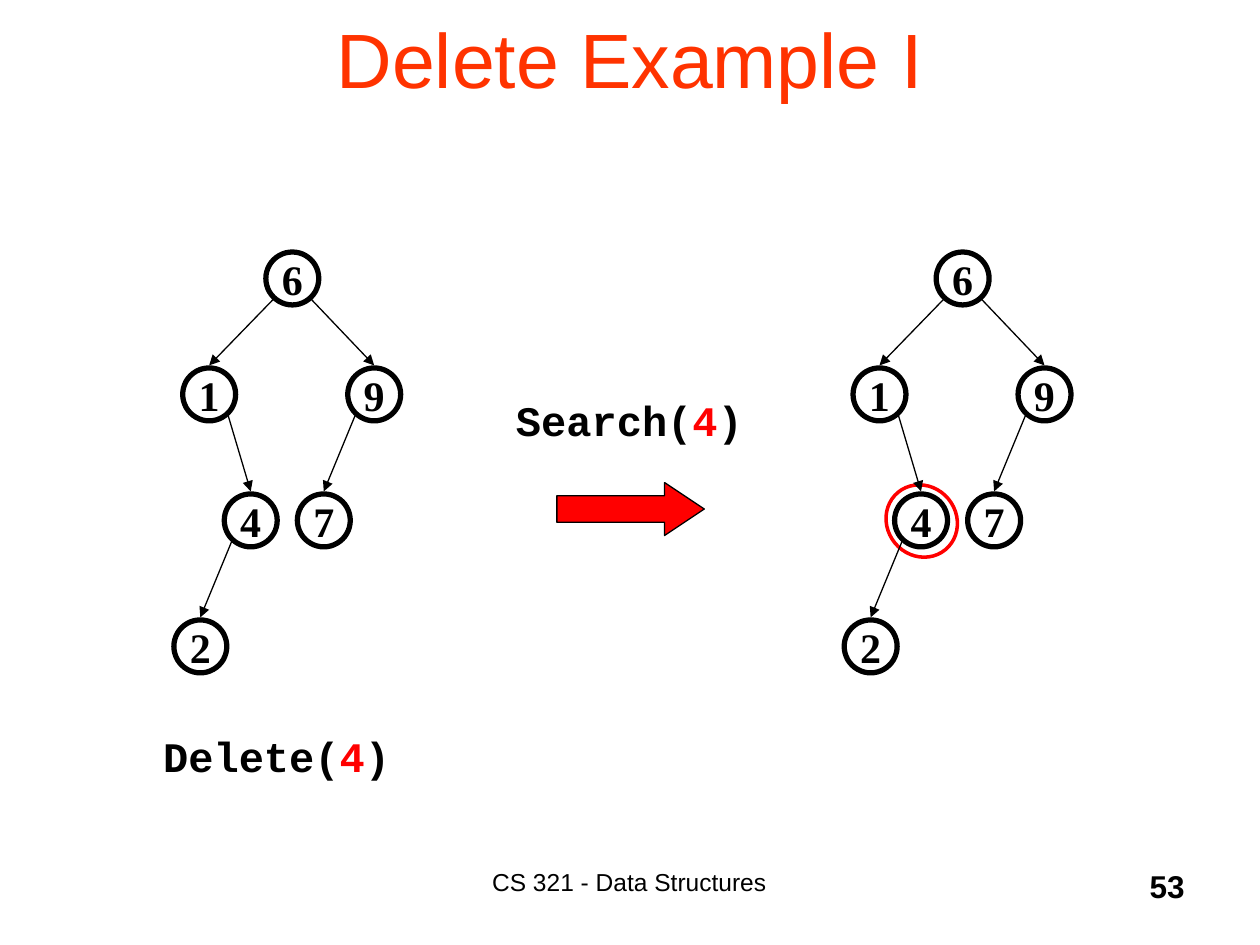
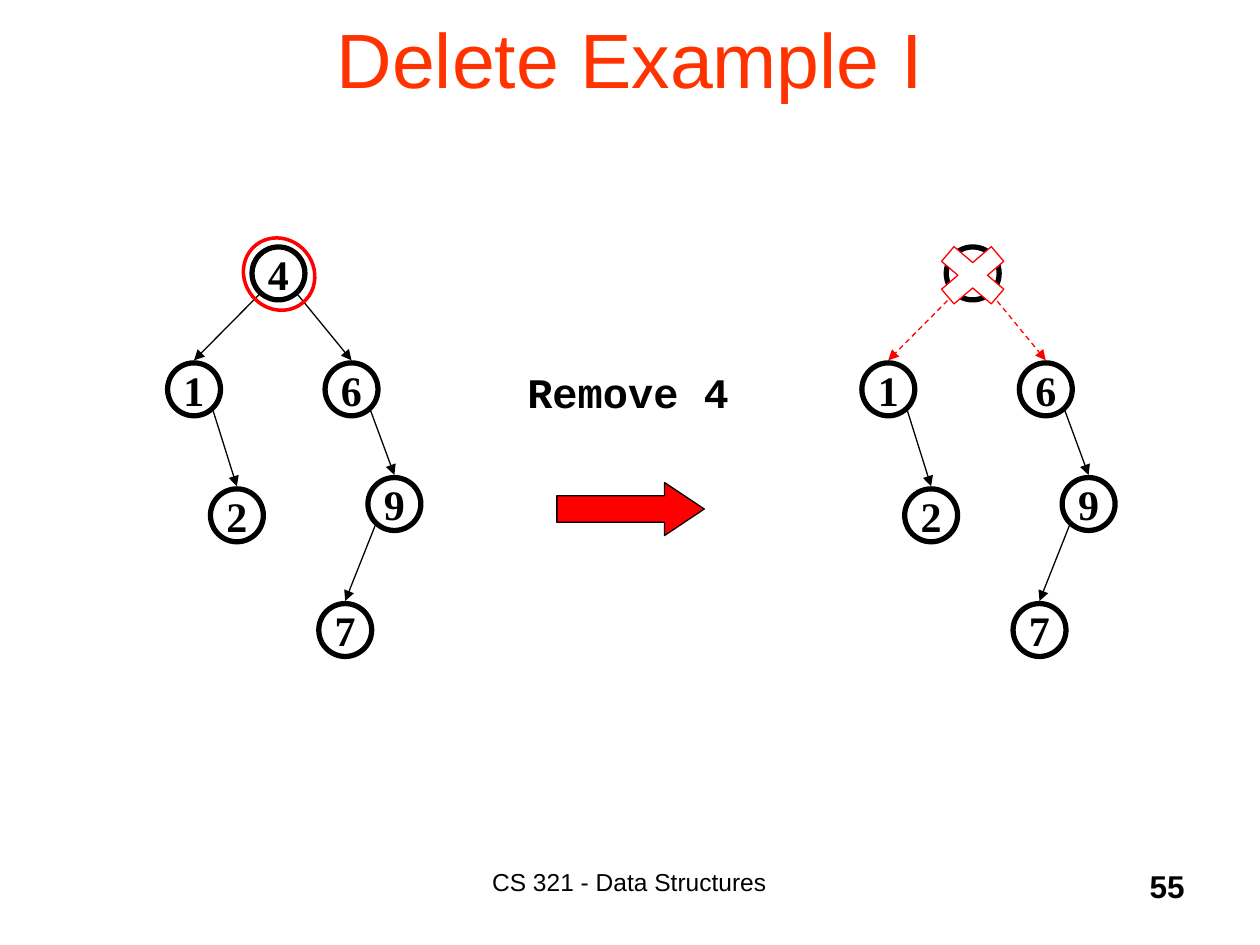
from dataclasses import dataclass
from typing import NamedTuple

from lxml import etree
from pptx import Presentation
from pptx.dml.color import RGBColor
from pptx.enum import dml, shapes, text
from pptx.oxml import ns
from pptx.util import Inches, Pt


@dataclass(frozen=True)
class Theme:
    black: RGBColor = RGBColor(0x00, 0x00, 0x00)
    red: RGBColor = RGBColor(0xFF, 0x00, 0x00)
    white: RGBColor = RGBColor(0xFF, 0xFF, 0xFF)
    title_color: RGBColor = RGBColor(0xFF, 0x33, 0x00)
    sans: str = "Arial"
    code: str = "Courier New"
    serif: str = "Times New Roman"
    title_size: int = 44
    label_size: int = 24
    page_size: int = 18
    footer_size: int = 14
    thin: float = 0.75
    ring: float = 2
    thick: float = 3


class Node(NamedTuple):
    key: str
    x: float
    y: float


class Style(NamedTuple):
    font: str
    size: int
    color: RGBColor
    bold: bool = False


@dataclass(frozen=True)
class Tree:
    nodes: tuple[Node, ...]
    edges: tuple[str, ...]

    def shifted(self, dx: float) -> "Tree":
        return Tree(tuple(n._replace(x=n.x + dx) for n in self.nodes), self.edges)

    def find(self, key: str) -> Node:
        return next(n for n in self.nodes if n.key == key)


THEME = Theme()
CODE = Style(THEME.code, THEME.label_size, THEME.black, True)
CODE_RED = CODE._replace(color=THEME.red)
KEY = Style(THEME.serif, THEME.label_size, THEME.black, True)
TITLE = Style(THEME.sans, THEME.title_size, THEME.title_color)
FOOTER = Style(THEME.sans, THEME.footer_size, THEME.black)
PAGE = Style(THEME.sans, THEME.page_size, THEME.black, True)

NODE_SIZE = 0.42
EDGE_DX, EDGE_DY, EDGE_GAP = 0.15, 0.375, 0.02

SEARCH_TREE = Tree(
    (Node("6", 2.11, 2), Node("1", 1.45, 2.92), Node("9", 2.76, 2.92),
     Node("4", 1.78, 3.92), Node("7", 2.36, 3.92), Node("2", 1.38, 4.92)),
    ("61", "69", "14", "97", "42"),
)
ROTATED_TREE = Tree(
    (Node("4", 2, 1.96), Node("1", 1.33, 2.88), Node("6", 2.58, 2.88),
     Node("2", 1.67, 3.88), Node("9", 2.92, 3.79), Node("7", 2.53, 4.79)),
    ("41", "46", "12", "69", "97"),
)


def box(x: float, y: float, w: float, h: float) -> tuple:
    return Inches(x), Inches(y), Inches(w), Inches(h)


def add_runs(p, *parts: tuple[str, Style]) -> None:
    for words, style in parts:
        r = p.add_run()
        r.text = words
        r.font.name = style.font
        r.font.size = Pt(style.size)
        r.font.bold = style.bold
        r.font.color.rgb = style.color


def add_label(s, at: tuple, *parts: tuple[str, Style], align=text.PP_ALIGN.CENTER) -> None:
    tf = s.shapes.add_textbox(*at).text_frame
    tf.word_wrap = True
    tf.paragraphs[0].alignment = align
    add_runs(tf.paragraphs[0], *parts)


def add_outlined(parent, kind, at: tuple, color: RGBColor, width: float, fill=None):
    sp = parent.shapes.add_shape(kind, *at)
    sp.shadow.inherit = False
    if fill is None:
        sp.fill.background()
    else:
        sp.fill.solid()
        sp.fill.fore_color.rgb = fill
    sp.line.color.rgb = color
    sp.line.width = Pt(width)
    return sp


def add_edge(parent, start: Node, end: Node, cut: bool) -> None:
    side = EDGE_DX if end.x > start.x else -EDGE_DX
    half = NODE_SIZE / 2
    line = parent.shapes.add_connector(
        shapes.MSO_CONNECTOR.STRAIGHT,
        Inches(start.x + half + side), Inches(start.y + EDGE_DY),
        Inches(end.x + half), Inches(end.y - EDGE_GAP),
    )
    line.line.color.rgb = THEME.red if cut else THEME.black
    line.line.width = Pt(THEME.thin)
    if cut:
        line.line.dash_style = dml.MSO_LINE.DASH
    sp_pr = line._element.spPr
    etree.SubElement(sp_pr.find(ns.qn("a:ln")), ns.qn("a:tailEnd"), type="triangle")
    etree.SubElement(sp_pr, ns.qn("a:effectLst"))


def add_node(parent, node: Node) -> None:
    at = box(node.x, node.y, NODE_SIZE, NODE_SIZE)
    sp = add_outlined(parent, shapes.MSO_SHAPE.OVAL, at, THEME.black, THEME.thick)
    tf = sp.text_frame
    tf.word_wrap = False
    tf.vertical_anchor = text.MSO_ANCHOR.MIDDLE
    p = tf.paragraphs[0]
    p.alignment = text.PP_ALIGN.CENTER
    add_runs(p, (node.key, KEY))


def add_tree(s, tree: Tree, cut: str = "") -> None:
    group = s.shapes.add_group_shape()
    for node in tree.nodes:
        add_node(group, node)
    for parent, child in tree.edges:
        add_edge(group, tree.find(parent), tree.find(child), parent == cut)
    if cut:
        node = tree.find(cut)
        add_outlined(group, shapes.MSO_SHAPE.MATH_MULTIPLY,
                     box(node.x - 0.17, node.y - 0.1, 0.76, 0.65),
                     THEME.red, THEME.thin, THEME.white)


def add_ring(s, node: Node) -> None:
    sp = add_outlined(s, shapes.MSO_SHAPE.OVAL,
                      box(node.x - 0.06, node.y - 0.08, 0.55, 0.59),
                      THEME.red, THEME.ring)
    sp.rotation = 320.5


def add_step_slide(prs, page: str):
    s = prs.slides.add_slide(prs.slide_layouts[5])
    title = s.shapes.title
    title.left, title.top, title.width, title.height = box(0.75, -0.17, 8.5, 1.25)
    tf = title.text_frame
    tf.auto_size = text.MSO_AUTO_SIZE.NONE
    tf.vertical_anchor = text.MSO_ANCHOR.MIDDLE
    p = tf.paragraphs[0]
    p.alignment = text.PP_ALIGN.CENTER
    add_runs(p, ("Delete Example I", TITLE))
    add_label(s, box(3.08, 6.83, 3.83, 0.5), ("CS 321 - Data Structures", FOOTER))
    add_label(s, box(7.42, 6.83, 2.08, 0.5), (page, PAGE), align=text.PP_ALIGN.RIGHT)
    arrow = add_outlined(s, shapes.MSO_SHAPE.RIGHT_ARROW, box(4.42, 3.83, 1.17, 0.42),
                         THEME.black, THEME.thin, THEME.red)
    arrow.adjustments[1] = 0.75
    return s


def add_call(s, x: float, y: float, name: str) -> None:
    add_label(s, box(x, y, 2.05, 0.5), (f"{name}(", CODE), ("4", CODE_RED), (")", CODE))


def build_search(prs) -> None:
    s = add_step_slide(prs, "53")
    found = SEARCH_TREE.shifted(5.32)
    add_call(s, 3.97, 3.08, "Search")
    add_ring(s, found.find("4"))
    add_tree(s, SEARCH_TREE)
    add_tree(s, found)
    add_call(s, 1.17, 5.75, "Delete")


def build_remove(prs) -> None:
    s = add_step_slide(prs, "55")
    add_label(s, box(3.96, 2.86, 2.05, 0.5), ("Remove 4", CODE))
    add_tree(s, ROTATED_TREE)
    add_ring(s, ROTATED_TREE.find("4"))
    add_tree(s, ROTATED_TREE.shifted(5.51), cut="4")


def main() -> None:
    prs = Presentation()
    prs.slide_width, prs.slide_height = Inches(10), Inches(7.5)
    build_search(prs)
    build_remove(prs)
    prs.save("out.pptx")


if __name__ == "__main__":
    main()
